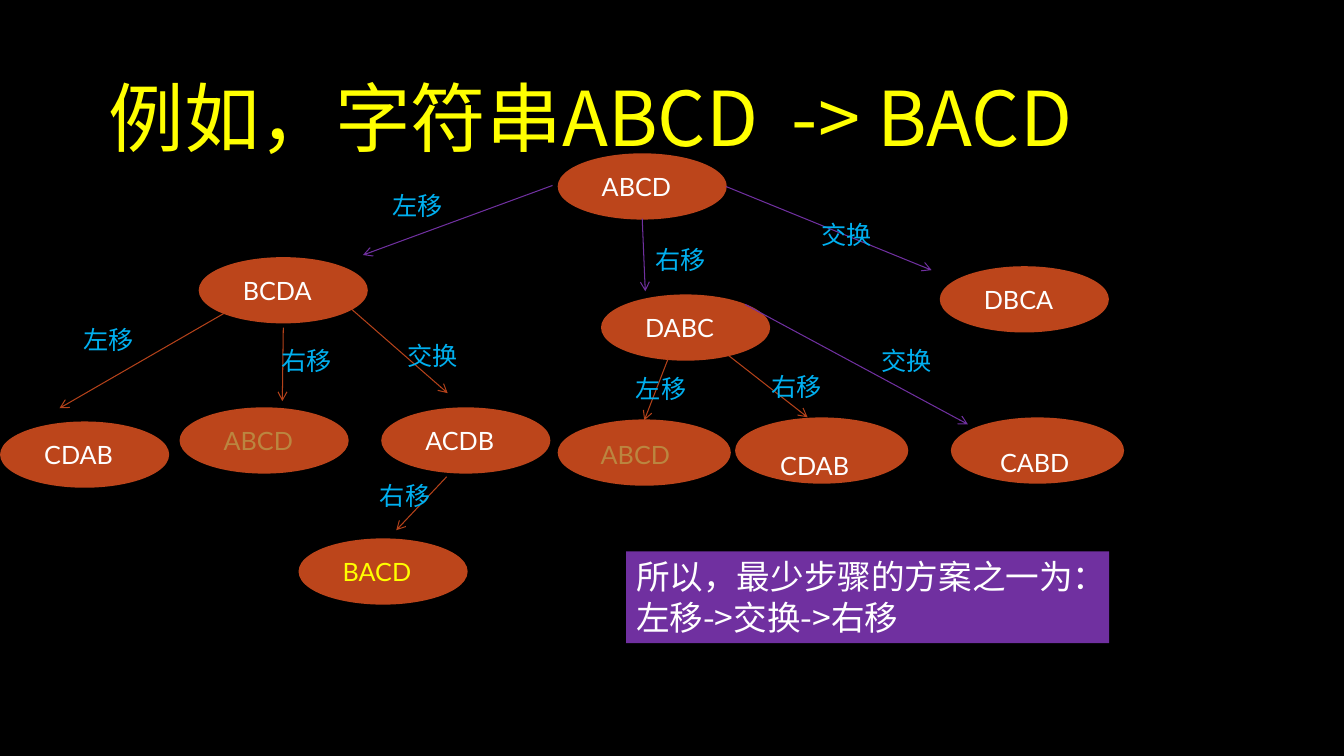
from lxml import etree
from pptx import Presentation
from pptx.dml.color import RGBColor
from pptx.enum.shapes import MSO_CONNECTOR, MSO_SHAPE
from pptx.enum.text import MSO_ANCHOR, MSO_AUTO_SIZE, PP_ALIGN
from pptx.oxml.ns import qn
from pptx.util import Inches, Pt

ELLIPSE = MSO_SHAPE.OVAL
STRAIGHT = MSO_CONNECTOR.STRAIGHT
LEFT, CENTER = PP_ALIGN.LEFT, PP_ALIGN.CENTER
TOP, BOTTOM = MSO_ANCHOR.TOP, MSO_ANCHOR.BOTTOM
NO_FIT = MSO_AUTO_SIZE.NONE

LATIN, CHINESE = "Lato", "Noto Sans CJK SC"
BLACK, WHITE, YELLOW, TAN = "000000", "FFFFFF", "FFFF00", "BB8640"
RUST, DARK_RUST, PURPLE, BLUE = "BC451B", "B4421A", "7030A0", "00B0F0"

NODE_WIDTH, WIDE_NODE, NODE_HEIGHT = 1.66, 1.7, 0.64
LABEL_HEIGHT = 0.4
TEXT_OFFSET = (0.33, 0.12)

# word, left, top, width, text colour, offset of the word in the node
NODES = [
    ("ABCD", 5.54, 1.53, NODE_WIDTH, WHITE, TEXT_OFFSET),
    ("DABC", 5.97, 2.93, NODE_WIDTH, WHITE, TEXT_OFFSET),
    ("BCDA", 1.98, 2.56, NODE_WIDTH, WHITE, TEXT_OFFSET),
    ("DBCA", 9.33, 2.65, NODE_WIDTH, WHITE, TEXT_OFFSET),
    ("BACD", 2.97, 5.35, NODE_WIDTH, YELLOW, TEXT_OFFSET),
    ("ABCD", 1.79, 4.05, NODE_WIDTH, TAN, TEXT_OFFSET),
    ("ACDB", 3.79, 4.05, NODE_WIDTH, WHITE, TEXT_OFFSET),
    ("CDAB", 7.3, 4.15, WIDE_NODE, WHITE, (0.34, 0.27)),
    ("ABCD", 5.54, 4.17, WIDE_NODE, TAN, (0.32, 0.14)),
    ("CABD", 9.44, 4.15, WIDE_NODE, WHITE, (0.38, 0.24)),
    ("CDAB", 0.01, 4.19, NODE_WIDTH, WHITE, TEXT_OFFSET),
]

# start, end, line colour, operation, left and top of its label
STEPS = [
    ((5.48, 1.84), (3.6, 2.53), PURPLE, "左移", (3.79, 1.84)),
    ((6.37, 2.17), (6.4, 2.89), PURPLE, "右移", (6.4, 2.37)),
    ((7.2, 1.85), (9.24, 2.68), PURPLE, "交换", (8.05, 2.13)),
    ((2.22, 3.11), (0.59, 4.05), DARK_RUST, "左移", (0.73, 3.17)),
    ((2.81, 3.25), (2.8, 3.98), DARK_RUST, "右移", (2.69, 3.38)),
    ((3.49, 3.07), (4.44, 3.9), DARK_RUST, "交换", (3.94, 3.33)),
    ((6.63, 3.55), (6.39, 4.17), DARK_RUST, "左移", (6.21, 3.65)),
    ((7.23, 3.53), (8.01, 4.14), DARK_RUST, "右移", (7.55, 3.63)),
    ((7.39, 3.02), (9.6, 4.21), PURPLE, "交换", (8.64, 3.38)),
    ((4.43, 4.73), (3.93, 5.26), DARK_RUST, "右移", (3.67, 4.72)),
]


def color(value):
    return RGBColor.from_string(value)


def inches(*lengths):
    return [Inches(length) for length in lengths]


def write(shape, lines, size, font_name, text_color, align=LEFT, anchor=TOP):
    frame = shape.text_frame
    frame_format = {"word_wrap": True, "auto_size": NO_FIT, "vertical_anchor": anchor}
    for name, value in frame_format.items():
        setattr(frame, name, value)
    for index, line in enumerate(lines):
        paragraph = frame.add_paragraph() if index else frame.paragraphs[0]
        paragraph.alignment = align
        run = paragraph.add_run()
        run.text = line
        for name, value in {"size": Pt(size), "name": font_name, "bold": False}.items():
            setattr(run.font, name, value)
        run.font.color.rgb = color(text_color)
        east_asian = etree.SubElement(run.font._element, qn("a:ea"))
        east_asian.set("typeface", font_name)


def add_title(slide, box, text):
    title = slide.shapes.title
    for name, value in zip(("left", "top", "width", "height"), inches(*box)):
        setattr(title, name, value)
    write(title, [text], 54, CHINESE, YELLOW, CENTER, BOTTOM)


def add_node(slide, word, left, top, width, text_color, offset):
    """Group an ellipse with the string it holds."""
    group = slide.shapes.add_group_shape()
    ellipse = group.shapes.add_shape(ELLIPSE, *inches(left, top, width, NODE_HEIGHT))
    ellipse.shadow.inherit = False
    ellipse.fill.solid()
    ellipse.fill.fore_color.rgb = color(RUST)
    ellipse.line.color.rgb = color(RUST)
    ellipse.line.width = Pt(1.25)
    label = group.shapes.add_textbox(
        *inches(left + offset[0], top + offset[1], 1, LABEL_HEIGHT))
    write(label, [word], 18, LATIN, text_color)


def add_step(slide, start, end, line_color, operation, label_corner):
    """Draw an arrow and name the operation beside it."""
    arrow = slide.shapes.add_connector(STRAIGHT, *inches(*start, *end))
    arrow.line.color.rgb = color(line_color)
    arrow.line.width = Pt(0.75)
    etree.SubElement(arrow.line._get_or_add_ln(), qn("a:tailEnd")).set("type", "arrow")
    etree.SubElement(arrow._element.spPr, qn("a:effectLst"))
    label = slide.shapes.add_textbox(*inches(*label_corner, 0.8, LABEL_HEIGHT))
    write(label, [operation], 18, CHINESE, BLUE)


def add_conclusion(slide, box, lines):
    conclusion = slide.shapes.add_textbox(*inches(*box))
    conclusion.fill.solid()
    conclusion.fill.fore_color.rgb = color(PURPLE)
    write(conclusion, lines, 24, CHINESE, WHITE)


def main():
    presentation = Presentation()
    presentation.slide_width, presentation.slide_height = inches(13.33, 7.5)
    slide = presentation.slides.add_slide(presentation.slide_layouts[5])
    slide.background.fill.solid()
    slide.background.fill.fore_color.rgb = color(BLACK)
    add_title(slide, (0.57, 0.44, 10.57, 1.21), "例如，字符串ABCD  -> BACD")
    for node in NODES:
        add_node(slide, *node)
    for step in STEPS:
        add_step(slide, *step)
    add_conclusion(slide, (6.21, 5.47, 4.79, 0.91),
                   ["所以，最少步骤的方案之一为：", "左移->交换->右移"])
    presentation.save("out.pptx")


if __name__ == "__main__":
    main()
